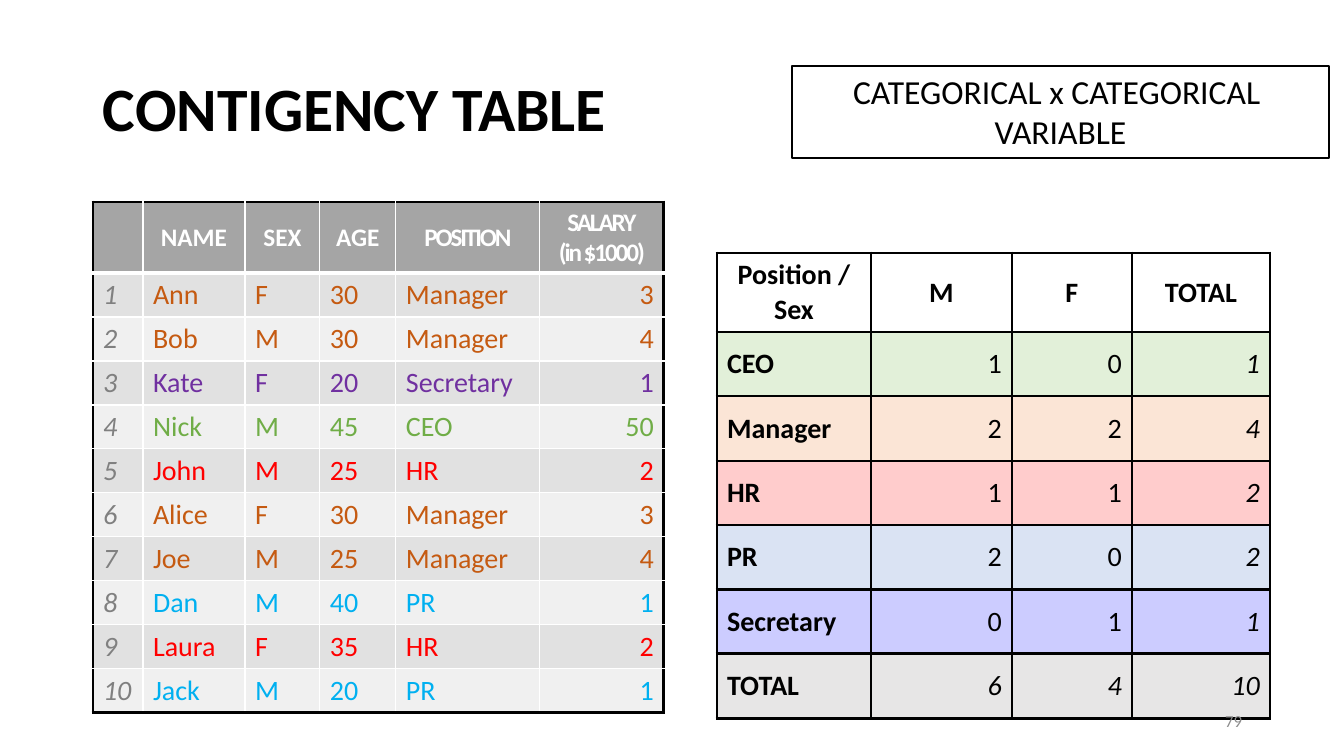
from lxml import etree
from pptx import Presentation
from pptx.dml.color import RGBColor
from pptx.enum.shapes import MSO_SHAPE
from pptx.enum.text import MSO_ANCHOR, PP_ALIGN
from pptx.oxml.ns import qn
from pptx.util import Pt

PX = 914400 / 100.8
LEFT, CENTER, RIGHT = PP_ALIGN.LEFT, PP_ALIGN.CENTER, PP_ALIGN.RIGHT
TOP, MIDDLE = MSO_ANCHOR.TOP, MSO_ANCHOR.MIDDLE
RECTANGLE = MSO_SHAPE.RECTANGLE

COLORS = {
    "black": "000000", "white": "FFFFFF", "header": "A5A5A5",
    "odd row": "E1E1E1", "even row": "F0F0F0", "index": "808080",
    "page number": "8C8C8C", "total row": "E7E6E6",
}
POSITION_TEXT = {"CEO": "70AD47", "Manager": "C55A11", "HR": "FF0000",
                 "PR": "00B0F0", "Secretary": "7030A0"}
POSITION_FILL = {"CEO": "E2F0D9", "Manager": "FBE5D6", "HR": "FFCCCC",
                 "PR": "DAE3F3", "Secretary": "CCCCFF"}

STAFF_HEADINGS = ["", "NAME", "SEX", "AGE", "POSITION", "SALARY\n(in $1000)"]
STAFF = [
    ("Ann", "F", 30, "Manager", 3),
    ("Bob", "M", 30, "Manager", 4),
    ("Kate", "F", 20, "Secretary", 1),
    ("Nick", "M", 45, "CEO", 50),
    ("John", "M", 25, "HR", 2),
    ("Alice", "F", 30, "Manager", 3),
    ("Joe", "M", 25, "Manager", 4),
    ("Dan", "M", 40, "PR", 1),
    ("Laura", "F", 35, "HR", 2),
    ("Jack", "M", 20, "PR", 1),
]
THIN = (COLORS["white"], 1)
HEADER_RULE = (COLORS["white"], 3)
FRAME = (COLORS["black"], 2.25)


def px(length):
    return round(length * PX)


def write(frame, text, color, align=LEFT, anchor=MIDDLE, line_spacing=None,
          tracking=None, **font_format):
    """Fill a text frame, one paragraph to each line of text."""
    frame.word_wrap = True
    frame.vertical_anchor = anchor
    for number, line in enumerate(text.split("\n")):
        paragraph = frame.paragraphs[0] if number == 0 else frame.add_paragraph()
        paragraph.alignment = align
        if line_spacing:
            paragraph.line_spacing = line_spacing
        run = paragraph.add_run()
        run.text = line
        run.font.name = "Calibri"
        run.font.color.rgb = RGBColor.from_string(color)
        for name, value in font_format.items():
            setattr(run.font, name, value)
        if tracking is not None:
            run.font._element.set("spc", str(tracking))


def set_borders(cell, left, right, top, bottom):
    properties = cell._tc.get_or_add_tcPr()
    sides = {"a:lnL": left, "a:lnR": right, "a:lnT": top, "a:lnB": bottom}
    for order, (tag, (color, width)) in enumerate(sides.items()):
        line = etree.Element(qn(tag), w=str(Pt(width)))
        fill = etree.SubElement(line, qn("a:solidFill"))
        etree.SubElement(fill, qn("a:srgbClr"), val=color)
        properties.insert(order, line)


def set_cell(cell, text, fill, borders, **style):
    if fill:
        cell.fill.solid()
        cell.fill.fore_color.rgb = RGBColor.from_string(fill)
    else:
        cell.fill.background()
    set_borders(cell, *borders)
    cell.vertical_anchor = MIDDLE
    if text:
        write(cell.text_frame, text, **style)


def add_grid(slide, box, widths, heights):
    table = slide.shapes.add_table(len(heights), len(widths), *map(px, box)).table
    table.first_row = table.horz_banding = False
    for column, width in zip(table.columns, widths):
        column.width = px(width)
    for row, height in zip(table.rows, heights):
        row.height = px(height)
    return table


def add_text_region(slide, box, text, **style):
    region = slide.shapes.add_textbox(*map(px, box))
    write(region.text_frame, text, **style)


def add_variable_label(slide, box):
    label = slide.shapes.add_shape(RECTANGLE, *map(px, box))
    label.shadow.inherit = False
    label.fill.background()
    label.line.color.rgb = RGBColor.from_string(COLORS["black"])
    label.line.width = Pt(1.5)
    write(label.text_frame, "CATEGORICAL x CATEGORICAL \nVARIABLE",
          COLORS["black"], CENTER, TOP, size=Pt(24))


def add_staff_table(slide, box):
    widths = [50, 102, 75, 76, 144, 124]
    table = add_grid(slide, box, widths, [71] + [44] * len(STAFF))
    last_column, last_row = len(widths) - 1, len(STAFF)

    def borders(row, column):
        return (FRAME if column == 0 else THIN,
                FRAME if column == last_column else THIN,
                FRAME if row == 0 else THIN,
                HEADER_RULE if row == 0 else FRAME if row == last_row else THIN)

    for column, heading in enumerate(STAFF_HEADINGS):
        set_cell(table.cell(0, column), heading, COLORS["header"],
                 borders(0, column), color=COLORS["white"], align=CENTER,
                 tracking=-150 if column >= 4 else None, size=Pt(18), bold=True)
    for row, person in enumerate(STAFF, start=1):
        position = person[3]
        for column, value in enumerate((row, *person)):
            is_index = column == 0
            set_cell(table.cell(row, column), str(value),
                     COLORS["odd row" if row % 2 else "even row"],
                     borders(row, column),
                     color=COLORS["index"] if is_index else POSITION_TEXT[position],
                     align=RIGHT if column == last_column else LEFT,
                     size=Pt(20), bold=False, italic=is_index)


def contingency_rows():
    """Count staff by position and sex, with totals both ways."""
    pairs = [(person[3], person[1]) for person in STAFF]
    counts = [[pairs.count((position, sex)) for sex in "MF"]
              for position in POSITION_FILL]
    counts.append([sum(column) for column in zip(*counts)])
    labels = [*POSITION_FILL, "TOTAL"]
    return [(label, *row, sum(row)) for label, row in zip(labels, counts)]


def add_contingency_table(slide, box):
    widths = [154, 141, 120, 138]
    rows = [("Position / Sex", "M", "F", "TOTAL"), *contingency_rows()]
    table = add_grid(slide, box, widths, [79] + [64, 65] * 3)
    for row, values in enumerate(rows):
        is_header, is_total = row == 0, row == len(rows) - 1
        fill = COLORS["total row"] if is_total else POSITION_FILL.get(values[0])
        for column, value in enumerate(values):
            is_label = is_header or column == 0
            in_total = is_total or column == len(widths) - 1
            set_cell(table.cell(row, column), str(value), fill, [FRAME] * 4,
                     color=COLORS["black"],
                     align=CENTER if is_header else LEFT if is_label else RIGHT,
                     size=Pt(20), bold=is_label, italic=in_total and not is_label)


def main():
    presentation = Presentation()
    presentation.slide_width, presentation.slide_height = px(1344), px(756)
    slide = presentation.slides.add_slide(presentation.slide_layouts[6])
    add_text_region(slide, (93, 38, 1159, 146), "CONTIGENCY TABLE",
                    color=COLORS["black"], line_spacing=0.9, size=Pt(44), bold=True)
    add_staff_table(slide, (93, 202, 571, 511))
    add_contingency_table(slide, (717, 253, 553, 466))
    add_variable_label(slide, (792, 66, 537, 92))
    add_text_region(slide, (950, 701, 302, 40), "79",
                    color=COLORS["page number"], align=RIGHT, size=Pt(12))
    presentation.save("out.pptx")


if __name__ == "__main__":
    main()
